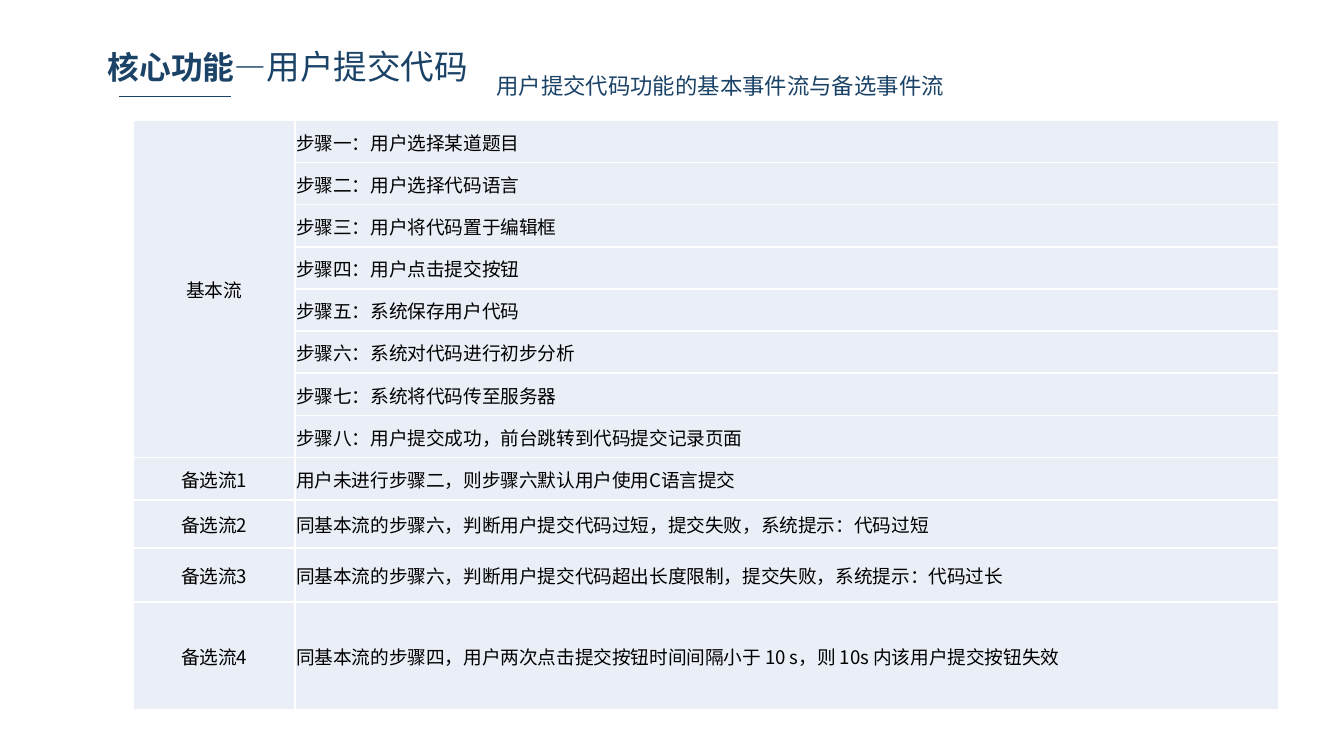
from dataclasses import dataclass

from lxml import etree
from pptx import Presentation
from pptx.dml.color import RGBColor
from pptx.enum.shapes import MSO_CONNECTOR
from pptx.enum.text import MSO_ANCHOR, PP_ALIGN
from pptx.oxml.ns import qn
from pptx.util import Inches, Pt

LEFT, CENTER, JUSTIFY = PP_ALIGN.LEFT, PP_ALIGN.CENTER, PP_ALIGN.JUSTIFY
MIDDLE = MSO_ANCHOR.MIDDLE
STRAIGHT = MSO_CONNECTOR.STRAIGHT


@dataclass(frozen=True)
class Theme:
    font: str = "Noto Sans CJK SC"
    navy: str = "1B4367"
    black: str = "000000"
    white: str = "FFFFFF"
    cell: str = "EAEFF7"
    title: int = 18
    title_lead: int = 17
    subtitle: int = 12
    body: int = 10
    rule: float = 0.75
    border: int = 1


class Deck:
    """Places elements on a grid of 100 columns; rows are as tall as columns are wide."""

    def __init__(self, theme, width=10, ratio=9 / 16):
        self.theme = theme
        self.prs = Presentation()
        self.prs.slide_width, self.prs.slide_height = Inches(width), Inches(width * ratio)
        self.unit = self.prs.slide_width / 100
        self.s = self.prs.slides.add_slide(self.prs.slide_layouts[6])

    def grid(self, *units):
        return [round(u * self.unit) for u in units]

    def run(self, p, text, size, color, bold=False):
        r = p.add_run()
        r.text = text
        fmt = {"name": self.theme.font, "size": Pt(size), "bold": bold}
        for key, value in fmt.items():
            setattr(r.font, key, value)
        r.font.color.rgb = RGBColor.from_string(color)
        ea = etree.SubElement(r.font._element, qn("a:ea"))
        ea.set("typeface", self.theme.font)

    def text(self, box, runs, align=LEFT):
        tf = self.s.shapes.add_textbox(*self.grid(*box)).text_frame
        fmt = {"word_wrap": True, "margin_left": Inches(0.07), "margin_right": Inches(0.07),
               "margin_top": Inches(0.04), "margin_bottom": Inches(0.04)}
        for key, value in fmt.items():
            setattr(tf, key, value)
        p = tf.paragraphs[0]
        p.alignment = align
        for text, size, bold in runs:
            self.run(p, text, size, self.theme.navy, bold)

    def line(self, x1, y1, x2, y2):
        sp = self.s.shapes.add_connector(STRAIGHT, *self.grid(x1, y1, x2, y2))
        sp.line.color.rgb = RGBColor.from_string(self.theme.navy)
        sp.line.width = Pt(self.theme.rule)
        etree.SubElement(sp._element.spPr, qn("a:effectLst"))

    def borders(self, cell):
        tc_pr = cell._tc.get_or_add_tcPr()
        for i, side in enumerate(("lnL", "lnR", "lnT", "lnB")):
            ln = etree.Element(qn(f"a:{side}"), w=str(Pt(self.theme.border)))
            fill = etree.SubElement(ln, qn("a:solidFill"))
            etree.SubElement(fill, qn("a:srgbClr"), val=self.theme.white)
            tc_pr.insert(i, ln)

    def cell(self, cell, text, align):
        fmt = {"vertical_anchor": MIDDLE, "margin_left": Inches(0.01),
               "margin_right": Inches(0.01), "margin_top": Inches(0.01), "margin_bottom": 0}
        for key, value in fmt.items():
            setattr(cell, key, value)
        cell.fill.solid()
        cell.fill.fore_color.rgb = RGBColor.from_string(self.theme.cell)
        self.borders(cell)
        p = cell.text_frame.paragraphs[0]
        p.alignment = align
        if text:
            self.run(p, text, self.theme.body, self.theme.black)

    def table(self, x, y, cols, rows, groups):
        frame = self.s.shapes.add_table(
            len(rows), len(cols), *self.grid(x, y, sum(cols), sum(rows)))
        table = frame.table
        table.first_row = table.horz_banding = False
        for col, width in zip(table.columns, self.grid(*cols)):
            col.width = width
        for row, height in zip(table.rows, self.grid(*rows)):
            row.height = height
        top = 0
        for label, steps in groups:
            for i, step in enumerate(steps):
                self.cell(table.cell(top + i, 0), "" if i else label, CENTER)
                self.cell(table.cell(top + i, 1), step, JUSTIFY)
            if len(steps) > 1:
                table.cell(top, 0).merge(table.cell(top + len(steps) - 1, 0))
            top += len(steps)


FLOWS = [
    ("基本流", [
        "步骤一：用户选择某道题目",
        "步骤二：用户选择代码语言",
        "步骤三：用户将代码置于编辑框",
        "步骤四：用户点击提交按钮",
        "步骤五：系统保存用户代码",
        "步骤六：系统对代码进行初步分析",
        "步骤七：系统将代码传至服务器",
        "步骤八：用户提交成功，前台跳转到代码提交记录页面",
    ]),
    ("备选流1", ["用户未进行步骤二，则步骤六默认用户使用C语言提交"]),
    ("备选流2", ["同基本流的步骤六，判断用户提交代码过短，提交失败，系统提示：代码过短"]),
    ("备选流3", ["同基本流的步骤六，判断用户提交代码超出长度限制，提交失败，系统提示：代码过长"]),
    ("备选流4", ["同基本流的步骤四，用户两次点击提交按钮时间间隔小于 10 s，则 10s 内该用户提交按钮失效"]),
]


def main():
    theme = Theme()
    deck = Deck(theme)

    # Title with its underline
    deck.text((7.3, 3, 51.3, 6.6), [("核心功能—", theme.title_lead, True),
                                    ("用户提交代码", theme.title, False)])
    deck.line(8.87, 7.2, 17.2, 7.2)

    # Event flows: nine equal rows, then three taller ones
    deck.table(9.93, 8.95, (12, 73.2), [3.14] * 9 + [3.6, 4, 8], FLOWS)

    # Subtitle
    deck.text((27.95, 5, 51.3, 2.8),
              [("用户提交代码功能的基本事件流与备选事件流", theme.subtitle, False)], CENTER)

    deck.prs.save("out.pptx")


if __name__ == "__main__":
    main()
